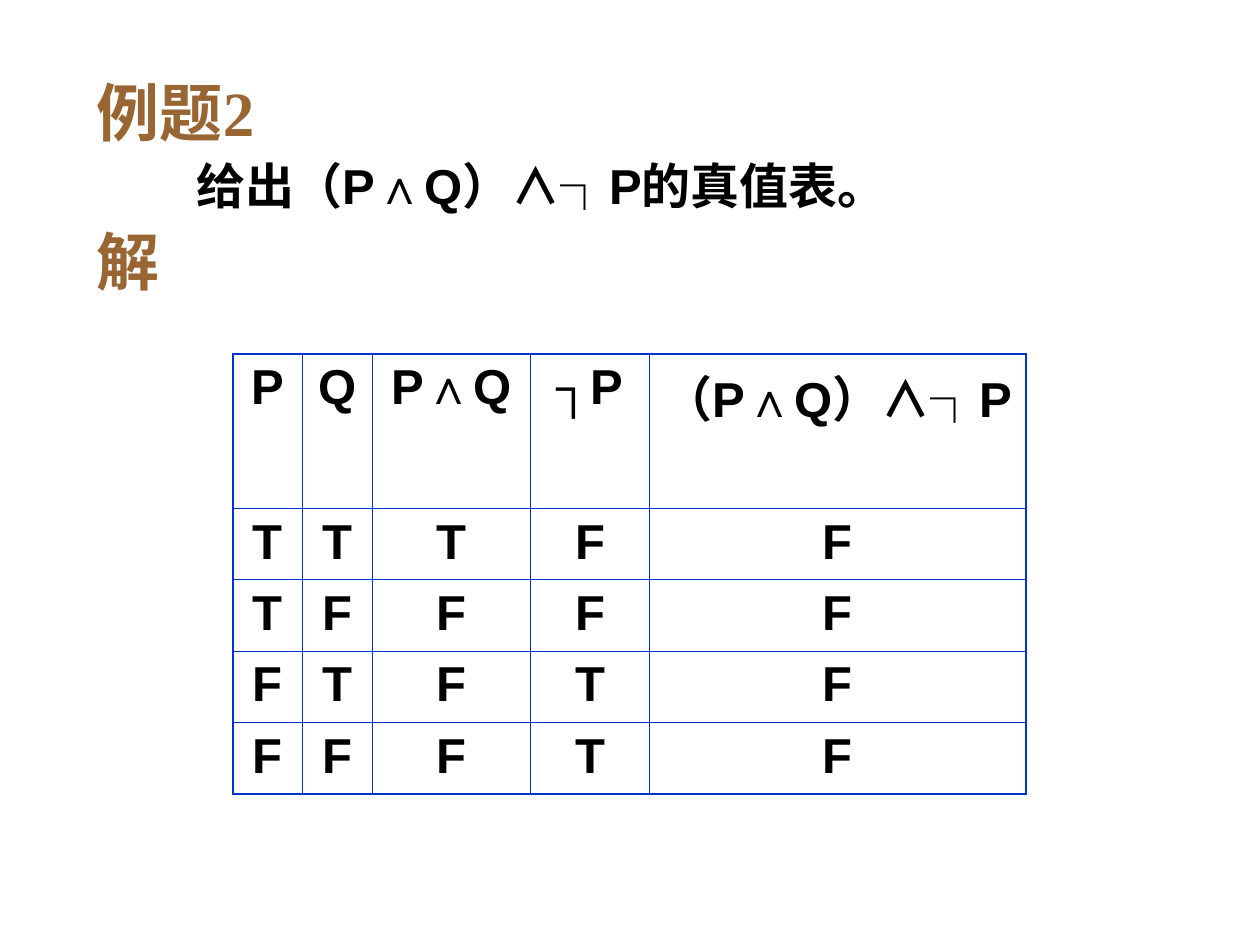
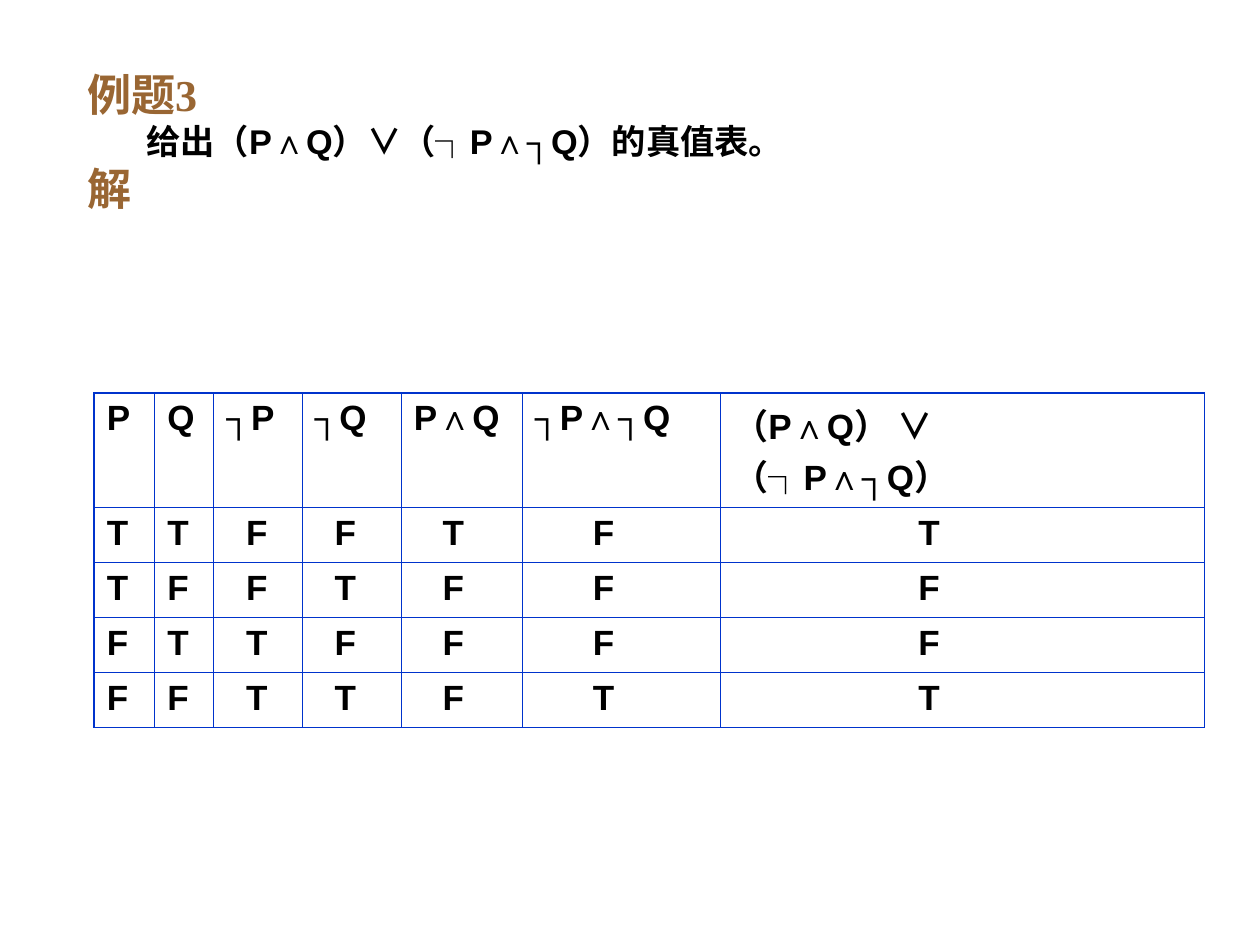
import lxml.etree
import pptx
import pptx.dml.color
import pptx.enum.text
import pptx.oxml.ns
import pptx.util

Cm, Pt = pptx.util.Cm, pptx.util.Pt
ALIGN = pptx.enum.text.PP_ALIGN
BROWN, BLACK, BLUE = "996633", "000000", "0033CC"
THIN, THICK = 0.45, 1.08

EXAMPLES = [
    {
        "heading": "例题2",
        "question": "给出（P∧Q）∧┐P的真值表。",
        "body": (1.7, 1.52, 22.86, 5),
        "heading_size": 36, "question_size": 28, "line_spacing": 0.9, "question_indent": 2,
        "table_at": (4.7, 7.14),
        "table_size": 28, "align": ALIGN.CENTER,
        "widths": [1.4, 1.4, 3.2, 2.39, 7.6],
        "value_indents": [0] * 5,
        "row_heights": (2.62, 1.44),
        "formulas": ["P", "Q", "P∧Q", "┐P", "（P∧Q）∧┐P"],
        "values": ["TTTFF", "TFFFF", "FTFTF", "FFFTF"],
    },
    {
        "heading": "例题3",
        "question": "给出（P∧Q）∨（┐P∧┐Q）的真值表。",
        "body": (1.5, 1.52, 23.24, 3.6),
        "heading_size": 25.2, "question_size": 19.6, "line_spacing": 0.7, "question_indent": 1.2,
        "table_at": (1.9, 7.92),
        "table_size": 20, "align": ALIGN.LEFT,
        "widths": [1.22, 1.19, 1.78, 2, 2.44, 4, 9.75],
        "value_indents": [0, 0, 0.4, 0.4, 0.58, 1.17, 3.73],
        "row_heights": (1.96, 1.11),
        "formulas": ["P", "Q", "┐P", "┐Q", "P∧Q", "┐P∧┐Q", "（P∧Q） ∨\n（┐P∧┐Q）"],
        "values": ["TTFFTFT", "TFFTFFF", "FTTFFFF", "FFTTFTT"],
    },
]


def colour(value):
    """Turn a hex string into a colour."""
    return pptx.dml.color.RGBColor.from_string(value)


def write(para, text, size, font, shade, indent=0):
    """Fill a paragraph with bold unbulleted text, one run a line."""
    props = para._p.get_or_add_pPr()
    props.set("marL", str(Cm(indent)))
    props.set("indent", "0")
    lxml.etree.SubElement(props, pptx.oxml.ns.qn("a:buNone"))
    for number, line in enumerate(text.split("\n")):
        if number:
            para.add_line_break()
        span = para.add_run()
        span.text = line
        span.font.name, span.font.size, span.font.bold = font, Pt(size), True
        span.font.color.rgb = colour(shade)


def add_border(cell, side, width):
    """Draw one edge of a table cell."""
    qn = pptx.oxml.ns.qn
    edge = lxml.etree.SubElement(cell._tc.get_or_add_tcPr(), qn("a:ln" + side), w=str(Pt(width)))
    fill = lxml.etree.SubElement(edge, qn("a:solidFill"))
    lxml.etree.SubElement(fill, qn("a:srgbClr"), val=BLUE)


def add_body(page, example):
    """Place the heading, the question and the answer label."""
    page.shapes.title.element.getparent().remove(page.shapes.title.element)
    box = page.placeholders[1]
    box.left, box.top, box.width, box.height = map(Cm, example["body"])
    frame = box.text_frame
    frame.auto_size = pptx.enum.text.MSO_AUTO_SIZE.NONE
    heading = (example["heading_size"], "Times New Roman", BROWN)
    question = (example["question_size"], "Arial", BLACK, example["question_indent"])
    lines = [(example["heading"], heading, 0), (example["question"], question, 7), ("解", heading, 9)]
    for number, (text, style, before) in enumerate(lines):
        para = frame.add_paragraph() if number else frame.paragraphs[0]
        write(para, text, *style)
        para.line_spacing, para.space_before = example["line_spacing"], Pt(before)


def add_truth_table(page, example):
    """Place the truth table with a heavier outer frame."""
    rows = [example["formulas"], *example["values"]]
    widths = example["widths"]
    head, rest = example["row_heights"]
    heights = [head] + [rest] * len(example["values"])
    left, top = example["table_at"]
    table = page.shapes.add_table(len(rows), len(widths), Cm(left), Cm(top),
                                  Cm(sum(widths)), Cm(sum(heights))).table
    table.first_row = table.horz_banding = False
    for column, width in zip(table.columns, widths):
        column.width = Cm(width)
    for r, texts in enumerate(rows):
        table.rows[r].height = Cm(heights[r])
        for c, text in enumerate(texts):
            cell = table.cell(r, c)
            outer = {"L": c == 0, "R": c == len(widths) - 1, "T": r == 0, "B": r == len(rows) - 1}
            for side, is_outer in outer.items():
                add_border(cell, side, THICK if is_outer else THIN)
            cell.fill.background()
            para = cell.text_frame.paragraphs[0]
            indent = example["value_indents"][c] if r else 0
            write(para, text, example["table_size"], "Arial", BLACK, indent)
            para.alignment = example["align"]


def main():
    """Build the deck of truth table examples."""
    deck = pptx.Presentation()
    deck.slide_width, deck.slide_height = Cm(25.4), Cm(19.05)
    for example in EXAMPLES:
        page = deck.slides.add_slide(deck.slide_layouts[1])
        add_body(page, example)
        add_truth_table(page, example)
    deck.save("out.pptx")


if __name__ == "__main__":
    main()
